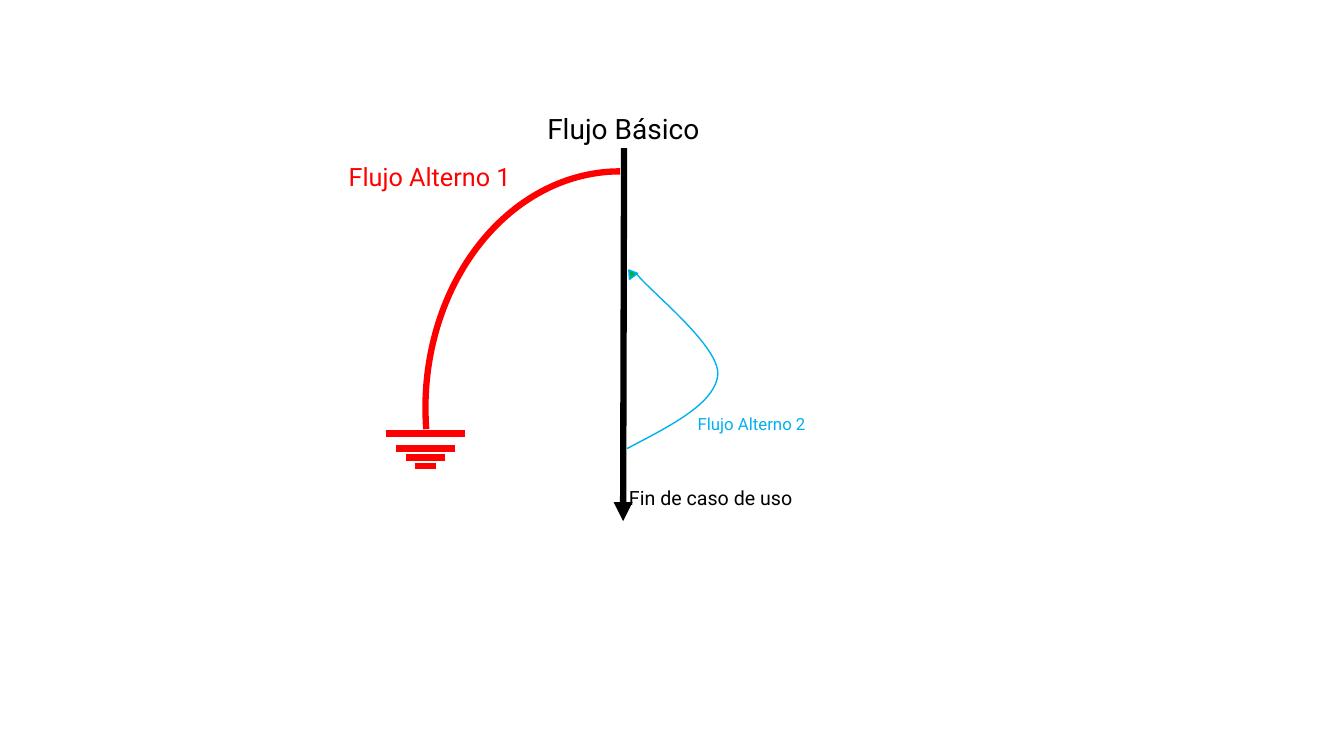
from lxml.etree import SubElement
from pptx import Presentation
from pptx.dml.color import RGBColor
from pptx.enum.shapes import MSO_CONNECTOR, MSO_SHAPE
from pptx.enum.text import MSO_AUTO_SIZE
from pptx.oxml.ns import qn
from pptx.util import Inches, Pt

# Content
COLORS = {"basic": "000000", "first": "FF0000", "second": "00B0F0", "head": "00B050"}
FONT = "Roboto"
THICK, THIN = 4.5, 1

# text, left, top, width, height, size, color, wrap
BASIC_LABEL = ("Flujo Básico", 5.33, 1.06, 2.13, 0.44, 20, "basic", True)
FIRST_LABEL = ("Flujo Alterno 1", 3.36, 1.55, 1.83, 0.4, 18, "first", False)
SECOND_LABEL = ("Flujo Alterno 2", 6.82, 4.06, 1.29, 0.3, 12, "second", False)
END_LABEL = ("Fin de caso de uso", 6.14, 4.77, 1.87, 0.34, 14, "basic", False)

BASIC_FLOW = ((6.19, 1.47), (6.18, 5.17))
FIRST_ARC = (4.22, 1.7, 3.86, 4.69)
ARC_ANGLES = (162, 3.784)
GROUND_CENTER = 4.22
GROUND_BARS = [(4.3, 0.79), (4.45, 0.59), (4.54, 0.39), (4.62, 0.21)]  # y, width
RETURN_CURVES = [
    ((6.22, 4.45), (6.66, 4.22), (7.1, 4), (7.12, 3.71)),
    ((7.12, 3.71), (7.13, 3.42), (6.41, 2.86), (6.31, 2.71)),
]
RETURN_HEAD = (6.21, 2.67, 0.1, 0.08)
CURVE_STEPS = 24

deck = Presentation()
deck.slide_width, deck.slide_height = Inches(13.33), Inches(7.5)
page = deck.slides.add_slide(deck.slide_layouts[6])


def color(name):
    return RGBColor.from_string(COLORS[name])


def set_line(shape, name, width):
    shape.line.color.rgb = color(name)
    shape.line.width = Pt(width)


def style_shape(shape, line, width, fill=None):
    shape.shadow.inherit = False
    set_line(shape, line, width)
    if fill:
        shape.fill.solid()
        shape.fill.fore_color.rgb = color(fill)
    else:
        shape.fill.background()


def add_label(text, left, top, width, height, size, name, wrap):
    box = page.shapes.add_textbox(*map(Inches, (left, top, width, height)))
    box.text_frame.word_wrap = wrap
    box.text_frame.auto_size = MSO_AUTO_SIZE.SHAPE_TO_FIT_TEXT
    span = box.text_frame.paragraphs[0].add_run()
    span.text = text
    for key, value in {"name": FONT, "size": Pt(size)}.items():
        setattr(span.font, key, value)
    span.font.color.rgb = color(name)


def add_line(start, end, name, arrow=False):
    line = page.shapes.add_connector(MSO_CONNECTOR.STRAIGHT, *map(Inches, (*start, *end)))
    set_line(line, name, THICK)
    if arrow:
        SubElement(line.get_or_add_ln(), qn("a:tailEnd"), type="triangle")
    SubElement(line._element.spPr, qn("a:effectLst"))


def curve_point(controls, t):
    weights = ((1 - t) ** 3, 3 * t * (1 - t) ** 2, 3 * t ** 2 * (1 - t), t ** 3)
    return tuple(Inches(sum(w * p[axis] for w, p in zip(weights, controls)))
                 for axis in (0, 1))


# Basic flow title
add_label(*BASIC_LABEL)

# First alternate flow: arc down to the ground symbol
arc = page.shapes.add_shape(MSO_SHAPE.ARC, *map(Inches, FIRST_ARC))
for index, angle in enumerate(ARC_ANGLES):
    arc.adjustments[index] = angle
arc._element.spPr.xfrm.set("flipH", "1")
style_shape(arc, "first", THICK)
for y, width in GROUND_BARS:
    add_line((GROUND_CENTER - width / 2, y), (GROUND_CENTER + width / 2, y), "first")
add_label(*FIRST_LABEL)

# Second alternate flow: curve that returns to the basic flow
points = [curve_point(controls, step / CURVE_STEPS)
          for controls in RETURN_CURVES for step in range(1, CURVE_STEPS + 1)]
builder = page.shapes.build_freeform(*curve_point(RETURN_CURVES[0], 0))
builder.add_line_segments(points, close=False)
style_shape(builder.convert_to_shape(), "second", THIN)
head = page.shapes.add_shape(MSO_SHAPE.ISOSCELES_TRIANGLE, *map(Inches, RETURN_HEAD))
head.rotation = 323.4
style_shape(head, "second", THIN, "head")
add_label(*SECOND_LABEL)

# Basic flow arrow and its end
add_line(*BASIC_FLOW, "basic", arrow=True)
add_label(*END_LABEL)

deck.save("out.pptx")
